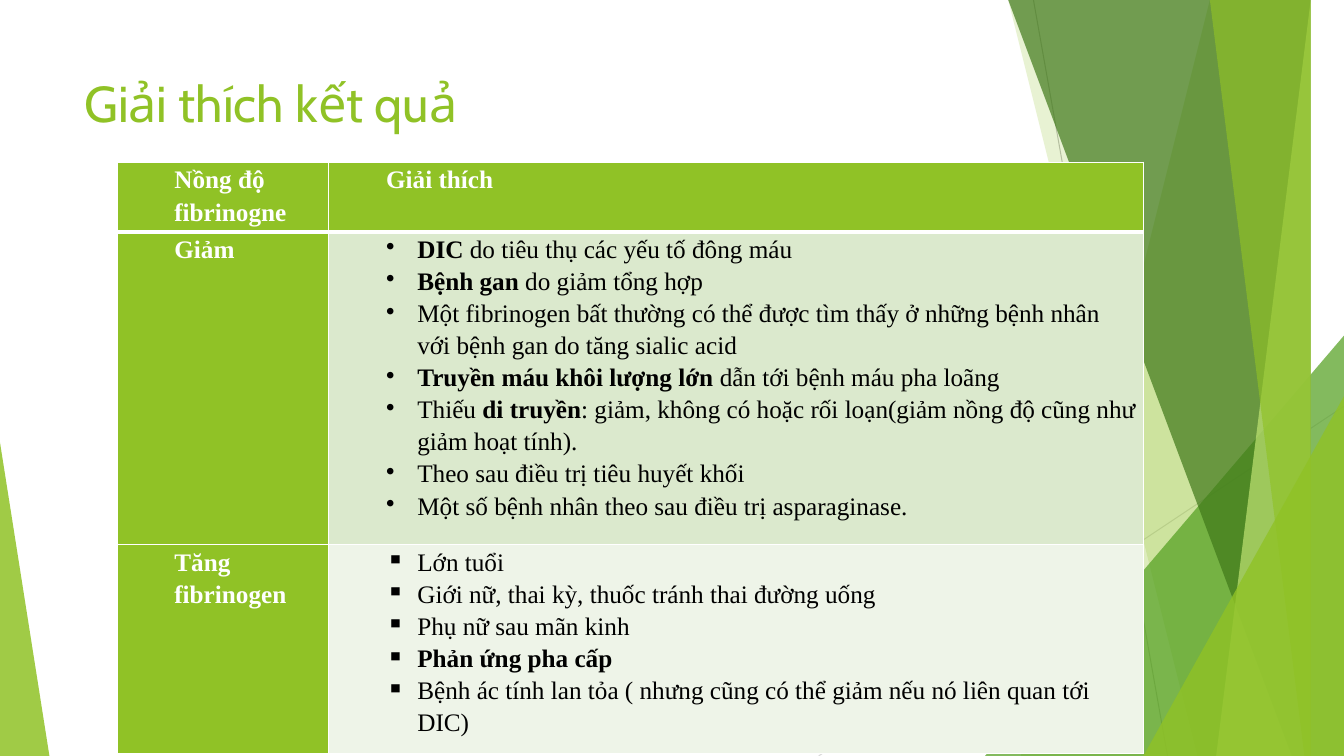
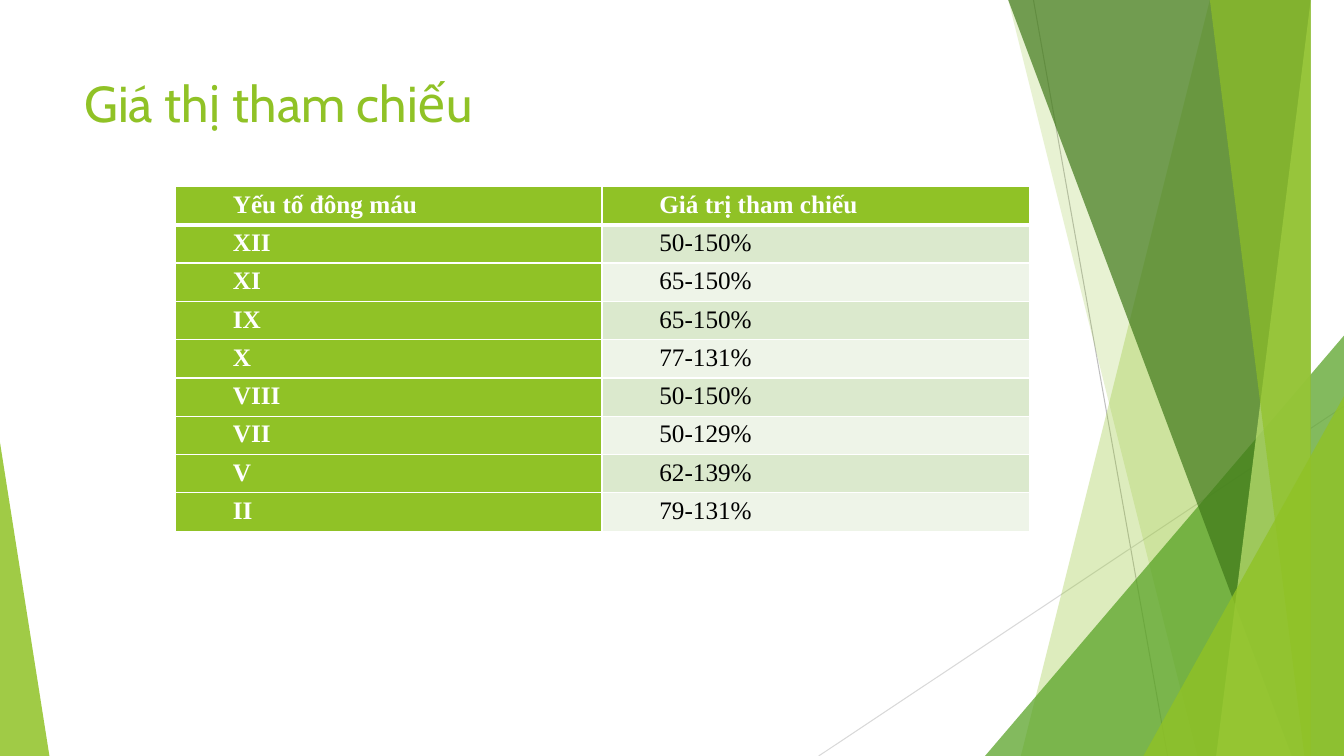
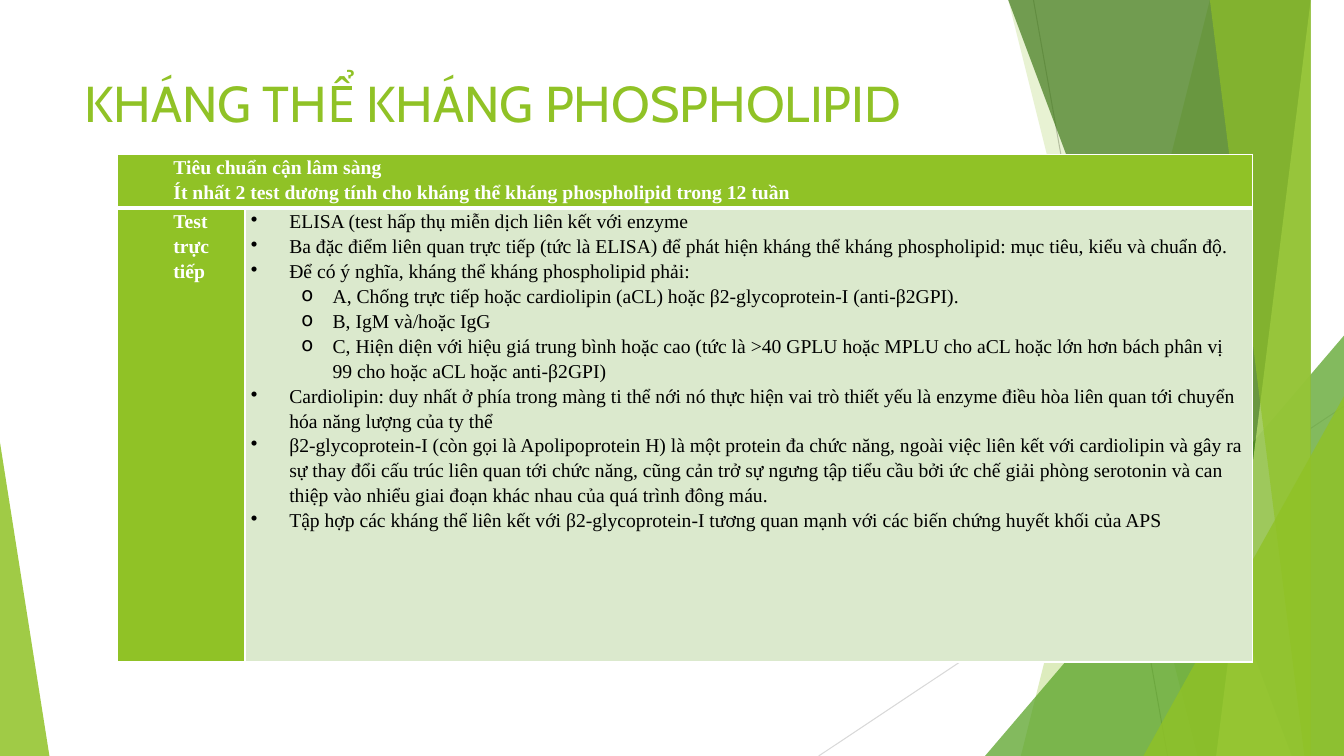
"""Build three slides on clotting tests with a shared leafy backdrop."""
from dataclasses import dataclass

from lxml import etree
from pptx import Presentation
from pptx import util as u
from pptx.dml import color as dml
from pptx.enum import shapes as kinds
from pptx.oxml import ns


@dataclass(frozen=True)
class Theme:
    wide: float = 13.33
    high: float = 7.5
    green: str = "90C226"
    leaf: str = "54A021"
    dark: str = "3F7819"
    lime: str = "C0E474"
    white: str = "FFFFFF"
    black: str = "000000"
    bands: tuple[str, str] = ("DBE9CD", "EEF4E8")
    gray: str = "BFBFBF"
    pale: str = "D9D9D9"
    head: str = "Cabin"
    body: str = "Times New Roman"
    title: int = 36
    large: int = 18
    small: int = 14
    space: float = 1.15
    hair: float = 0.75
    rule: int = 1
    thick: int = 3


T = Theme()


@dataclass(frozen=True)
class Ray:
    start: tuple[float, float]
    end: tuple[float, float]
    color: str


@dataclass(frozen=True)
class Pane:
    top: float
    base: float
    color: str
    alpha: int


@dataclass(frozen=True)
class Wedge:
    left: float
    top: float
    width: float
    tip: int
    color: str
    alpha: int


@dataclass(frozen=True)
class Line:
    text: str
    mark: str = ""
    left: float = 0.5
    hang: float = 0
    level: int = 0


@dataclass(frozen=True)
class Grid:
    left: float
    top: float
    cols: list[float]
    rows: list[float]
    cells: list[list[list[Line]]]
    size: int = T.large
    inset: float = 0.07


@dataclass(frozen=True)
class Page:
    title: str
    grid: Grid


RAYS = [
    Ray((10.25, 0), (11.58, T.high), T.gray),
    Ray((T.wide, 4.03), (8.12, T.high), T.pale),
]
LEAVES: list[Pane | Wedge] = [
    Pane(12.28, 10.04, T.green, 30),
    Pane(10.5, 11.83, T.green, 20),
    Wedge(9.77, 3.33, 3.56, 1, T.leaf, 72),
    Pane(10.21, 12.91, T.dark, 70),
    Pane(13.03, 11.92, T.lime, 70),
    Pane(11.96, 13.18, T.green, 65),
    Wedge(11.34, 3.93, 1.99, 1, T.green, 80),
    Wedge(0, 4.39, 0.49, 0, T.green, 85),
]


def plain(text: str) -> list[Line]:
    return [Line(text)]


def points(mark: str, *texts: str, left: float = 0.81, hang: float = 0.31, level: int = 0) -> list[Line]:
    return [Line(text, mark, left, hang, level) for text in texts]


def tint(code: str) -> dml.RGBColor:
    return dml.RGBColor.from_string(code)


def write(para, text: str, *, font: str, size: int, color: str, bold: bool = False,
          mark: str = "", left: float = 0, hang: float = 0, level: int = 0, space: float = 1) -> None:
    props = para._p.get_or_add_pPr()
    props.set("marL", str(u.Inches(left)))
    props.set("indent", str(u.Inches(-hang)))
    if mark:
        etree.SubElement(props, ns.qn("a:buChar"), char=mark)
    para.level = level
    para.line_spacing = space
    for spot, part in enumerate(text.split("*")):
        if part:
            run = para.add_run()
            run.text = part
            run.font.name, run.font.size = font, u.Pt(size)
            run.font.bold = bold or spot % 2 == 1
            run.font.color.rgb = tint(color)


def draw_ray(slide, ray: Ray) -> None:
    ends = [u.Inches(n) for n in (*ray.start, *ray.end)]
    line = slide.shapes.add_connector(kinds.MSO_CONNECTOR.STRAIGHT, *ends)
    line.line.color.rgb = tint(ray.color)
    line.line.width = u.Pt(T.hair)
    etree.SubElement(line.element.spPr, ns.qn("a:effectLst"))


def draw_leaf(slide, leaf: Pane | Wedge) -> None:
    if isinstance(leaf, Pane):
        path = slide.shapes.build_freeform(leaf.top, -0.01, scale=u.Inches(1))
        path.add_line_segments([(T.wide, -0.01), (T.wide, T.high), (leaf.base, T.high)], close=True)
        shape = path.convert_to_shape()
    else:
        box = [u.Inches(n) for n in (leaf.left, leaf.top, leaf.width, T.high - leaf.top)]
        shape = slide.shapes.add_shape(kinds.MSO_SHAPE.ISOSCELES_TRIANGLE, *box)
        shape.adjustments[0] = leaf.tip
    shape.shadow.inherit = False
    shape.line.fill.background()
    shape.fill.solid()
    shape.fill.fore_color.rgb = tint(leaf.color)
    fill = shape.element.spPr.find(ns.qn("a:solidFill"))
    etree.SubElement(fill[0], ns.qn("a:alpha"), val=str(leaf.alpha * 1000))


def edge(cell, row: int) -> None:
    props = cell._tc.get_or_add_tcPr()
    for side in "LRTB":
        wide = T.thick if (row, side) in ((0, "B"), (1, "T")) else T.rule
        line = etree.SubElement(props, ns.qn(f"a:ln{side}"), w=str(u.Pt(wide)))
        fill = etree.SubElement(line, ns.qn("a:solidFill"))
        etree.SubElement(fill, ns.qn("a:srgbClr"), val=T.white)


def draw_grid(slide, grid: Grid) -> None:
    box = [u.Inches(n) for n in (grid.left, grid.top, sum(grid.cols), sum(grid.rows))]
    table = slide.shapes.add_table(len(grid.rows), len(grid.cols), *box).table
    table.first_row = table.horz_banding = False
    for col, width in zip(table.columns, grid.cols):
        col.width = u.Inches(width)
    for r, (height, texts) in enumerate(zip(grid.rows, grid.cells)):
        table.rows[r].height = u.Inches(height)
        for c in range(len(grid.cols)):
            cell = table.cell(r, c)
            key = r == 0 or c == 0
            edge(cell, r)
            cell.fill.solid()
            cell.fill.fore_color.rgb = tint(T.green if key else T.bands[(r - 1) % 2])
            cell.margin_left = cell.margin_right = u.Inches(grid.inset)
            cell.margin_top = cell.margin_bottom = 0
            frame = cell.text_frame
            for i, line in enumerate(texts[c] if c < len(texts) else []):
                para = frame.add_paragraph() if i else frame.paragraphs[0]
                write(para, line.text, font=T.body, size=grid.size, bold=key,
                      color=T.white if key else T.black, mark=line.mark, left=line.left,
                      hang=line.hang, level=line.level, space=T.space)
        if len(texts) < len(grid.cols):
            table.cell(r, len(texts) - 1).merge(table.cell(r, len(grid.cols) - 1))


def draw_page(deck, page: Page) -> None:
    slide = deck.slides.add_slide(deck.slide_layouts[6])
    for ray in RAYS:
        draw_ray(slide, ray)
    for leaf in LEAVES:
        draw_leaf(slide, leaf)
    box = [u.Inches(n) for n in (0.74, 0.67, 9.4, 1.44)]
    frame = slide.shapes.add_textbox(*box).text_frame
    frame.word_wrap = True
    write(frame.paragraphs[0], page.title, font=T.head, size=T.title, color=T.green)
    draw_grid(slide, page.grid)


LEVELS = Grid(1.16, 1.61, [2.1, 8.08], [0.54, 2.5, 1.66], [
    [plain("Nồng độ fibrinogne"), plain("Giải thích")],
    [plain("Giảm"), points(
        "•",
        "*DIC* do tiêu thụ các yếu tố đông máu",
        "*Bệnh gan *do giảm tổng hợp",
        "Một fibrinogen bất thường có thể được tìm thấy ở những bệnh nhân với bệnh gan do tăng sialic acid",
        "*Truyền máu khôi lượng lớn *dẫn tới bệnh máu pha loãng",
        "Thiếu *di truyền*: giảm, không có hoặc rối loạn(giảm nồng độ cũng như giảm hoạt tính).",
        "Theo sau điều trị tiêu huyết khối",
        "Một số bệnh nhân theo sau điều trị asparaginase.",
    )],
    [plain("Tăng fibrinogen"), points(
        "▪",
        "Lớn tuổi",
        "Giới nữ, thai kỳ, thuốc tránh thai đường uống",
        "Phụ nữ sau mãn kinh",
        "*Phản ứng pha cấp*",
        "Bệnh ác tính lan tỏa ( nhưng cũng có thể giảm nếu nó liên quan tới DIC)",
    )],
])

RANGES = [
    ("Yếu tố đông máu", "Giá trị tham chiếu"),
    ("XII", "50-150%"),
    ("XI", "65-150%"),
    ("IX", "65-150%"),
    ("X", "77-131%"),
    ("VIII", "50-150%"),
    ("VII", "50-129%"),
    ("V", "62-139%"),
    ("II", "79-131%"),
]
FACTORS = Grid(1.74, 1.85, [4.23, 4.24], [0.38] * len(RANGES),
               [[plain(text) for text in pair] for pair in RANGES])

TESTS = Grid(1.16, 1.53, [1.27, 9.99], [0.44, 4.5], [
    [[
        Line("Tiêu chuẩn cận lâm sàng"),
        Line("Ít nhất 2 test dương tính cho kháng thể kháng phospholipid trong 12 tuần"),
    ]],
    [plain("Test trực tiếp"), [
        *points(
            "•",
            "ELISA (test hấp thụ miễn dịch liên kết với enzyme",
            "Ba đặc điểm liên quan trực tiếp (tức là ELISA) để phát hiện kháng thể kháng phospholipid: "
            "mục tiêu, kiểu và chuẩn độ.",
            "Để có ý nghĩa, kháng thể kháng phospholipid phải:",
            left=0.38, hang=0.38,
        ),
        *points(
            "o",
            "A, Chống trực tiếp hoặc cardiolipin (aCL) hoặc β2-glycoprotein-I (anti-β2GPI).",
            "B, IgM và/hoặc IgG",
            "C, Hiện diện với hiệu giá trung bình hoặc cao (tức là >40 GPLU hoặc MPLU cho aCL "
            "hoặc lớn hơn bách phân vị 99 cho hoặc aCL hoặc anti-β2GPI)",
            level=1,
        ),
        *points(
            "•",
            "Cardiolipin: duy nhất ở phía trong màng ti thể nới nó thực hiện vai trò thiết yếu là enzyme "
            "điều hòa liên quan tới chuyển hóa năng lượng của ty thể",
            "β2-glycoprotein-I (còn gọi là Apolipoprotein H) là một protein đa chức năng, ngoài việc "
            "liên kết với cardiolipin và gây ra sự thay đổi cấu trúc liên quan tới chức năng, cũng cản trở "
            "sự ngưng tập tiểu cầu bởi ức chế giải phòng serotonin và can thiệp vào nhiểu giai đoạn "
            "khác nhau của quá trình đông máu.",
            "Tập hợp các kháng thể liên kết với β2-glycoprotein-I tương quan mạnh với các biến chứng "
            "huyết khối của APS",
            left=0.38, hang=0.38,
        ),
    ]],
], size=T.small, inset=0.06)

PAGES = [
    Page("Giải thích kết quả", LEVELS),
    Page("Giá thị tham chiếu", FACTORS),
    Page("KHÁNG THỂ KHÁNG PHOSPHOLIPID", TESTS),
]


def main() -> None:
    deck = Presentation()
    deck.slide_width, deck.slide_height = u.Inches(T.wide), u.Inches(T.high)
    for page in PAGES:
        draw_page(deck, page)
    deck.save("out.pptx")


if __name__ == "__main__":
    main()
